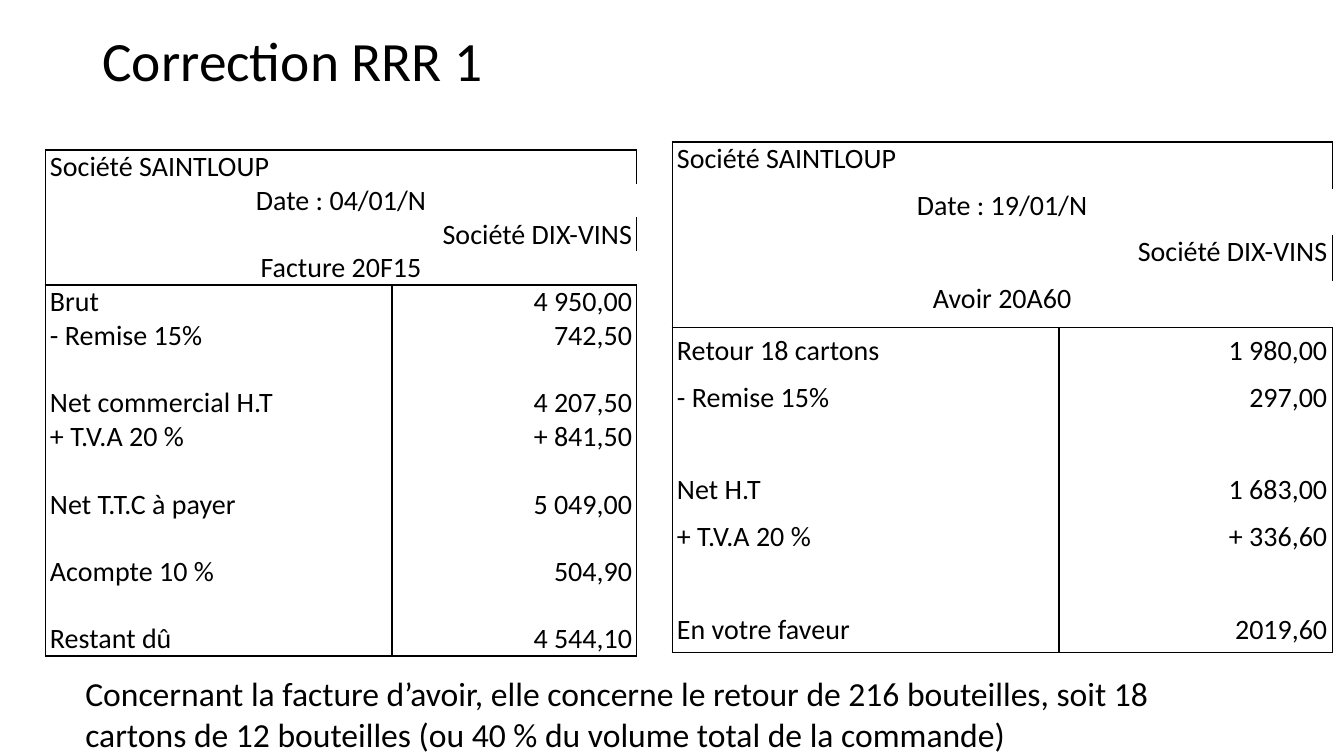
from lxml.etree import SubElement
from pptx import Presentation
from pptx.dml.color import RGBColor
from pptx.enum.text import MSO_ANCHOR as Anchor, PP_ALIGN as Align
from pptx.oxml.ns import qn
from pptx.util import Cm, Pt

# Content
TITLE = "Correction RRR 1"
NOTE = ("Concernant la facture d’avoir, elle concerne le retour de 216 bouteilles, "
        "soit 18 cartons de 12 bouteilles (ou 40 % du volume total de la commande)")
SELLER, BUYER = "Société SAINTLOUP", "Société DIX-VINS"
INVOICE = {
    "date": "Date : 04/01/N",
    "name": "Facture 20F15",
    "lines": [
        ("Brut", "4 950,00"),
        ("- Remise 15%", "742,50"),
        ("", ""),
        ("Net commercial H.T", "4 207,50"),
        ("+ T.V.A 20 %", "+ 841,50"),
        ("", ""),
        ("Net T.T.C à payer", "5 049,00"),
        ("", ""),
        ("Acompte 10 %", "504,90"),
        ("", ""),
        ("Restant dû", "4 544,10"),
    ],
}
CREDIT = {
    "date": "Date : 19/01/N",
    "name": "Avoir 20A60",
    "lines": [
        ("Retour 18 cartons", "1 980,00"),
        ("- Remise 15%", "297,00"),
        ("", ""),
        ("Net H.T", "1 683,00"),
        ("+ T.V.A 20 %", "+ 336,60"),
        ("", ""),
        ("En votre faveur", "2019,60"),
    ],
}
# document, left, top, column widths, row height (cm)
TABLES = [
    (INVOICE, 1.14, 3.78, (8.74, 6.17), 0.85),
    (CREDIT, 16.94, 3.58, (9.75, 6.88), 1.17),
]

FONT = "Calibri"
BLACK = RGBColor(0, 0, 0)
HEADER_ROWS = 4
MERGED_ROWS = (1, 3)


def write(frame, text, size, align=Align.LEFT):
    para = frame.paragraphs[0]
    para.text = text
    para.alignment = align
    for span in para.runs:
        span.font.name = FONT
        span.font.size = Pt(size)
        span.font.color.rgb = BLACK
    return para


def add_text(page, text, size, left, top, width, height, anchor):
    box = page.shapes.add_textbox(Cm(left), Cm(top), Cm(width), Cm(height))
    box.text_frame.word_wrap = True
    box.text_frame.vertical_anchor = anchor
    return write(box.text_frame, text, size)


def set_borders(cell, drawn):
    """Rule the sides in drawn in black and leave the other sides empty."""
    properties = cell._tc.get_or_add_tcPr()
    for index, side in enumerate("LRTB"):
        line = SubElement(properties, qn("a:ln" + side), w=str(Pt(1)))
        if side in drawn:
            fill = SubElement(line, qn("a:solidFill"))
            SubElement(fill, qn("a:srgbClr"), val=str(BLACK))
        else:
            SubElement(line, qn("a:noFill"))
        properties.insert(index, line)


def add_document(page, document, left, top, widths, row_height):
    rows = [(SELLER, ""), (document["date"], ""), ("", BUYER),
            (document["name"], ""), *document["lines"]]
    table = page.shapes.add_table(
        len(rows), 2, Cm(left), Cm(top),
        Cm(sum(widths)), Cm(row_height * len(rows))).table
    table.first_row = table.horz_banding = False
    for column, width in zip(table.columns, widths):
        column.width = Cm(width)

    for r, texts in enumerate(rows):
        table.rows[r].height = Cm(row_height)
        in_body = r >= HEADER_ROWS
        for c, text in enumerate(texts):
            cell = table.cell(r, c)
            cell.margin_left = cell.margin_right = Cm(0.12)
            cell.margin_top = cell.margin_bottom = 0
            cell.vertical_anchor = Anchor.MIDDLE if in_body else Anchor.TOP
            cell.fill.background()
            align = Align.RIGHT if c else Align.LEFT
            write(cell.text_frame, text, 20, Align.CENTER if r in MERGED_ROWS else align)

            # Outer frame, rule under the header, divider in the body
            sides = "LR" if in_body else "LR"[c]
            if r in (0, HEADER_ROWS):
                sides += "T"
            if r in (HEADER_ROWS - 1, len(rows) - 1):
                sides += "B"
            set_borders(cell, sides)
    for r in MERGED_ROWS:
        table.cell(r, 0).merge(table.cell(r, 1))


# Page
deck = Presentation()
deck.slide_width, deck.slide_height = Cm(33.87), Cm(19.05)
page = deck.slides.add_slide(deck.slide_layouts[6])

title = add_text(page, TITLE, 39.6, 2.33, 1.01, 29.21, 1.17, Anchor.MIDDLE)
title.line_spacing = 0.9
for settings in TABLES:
    add_document(page, *settings)
add_text(page, NOTE, 24, 1.9, 16.84, 27.58, 2.31, Anchor.TOP)

deck.save("out.pptx")
